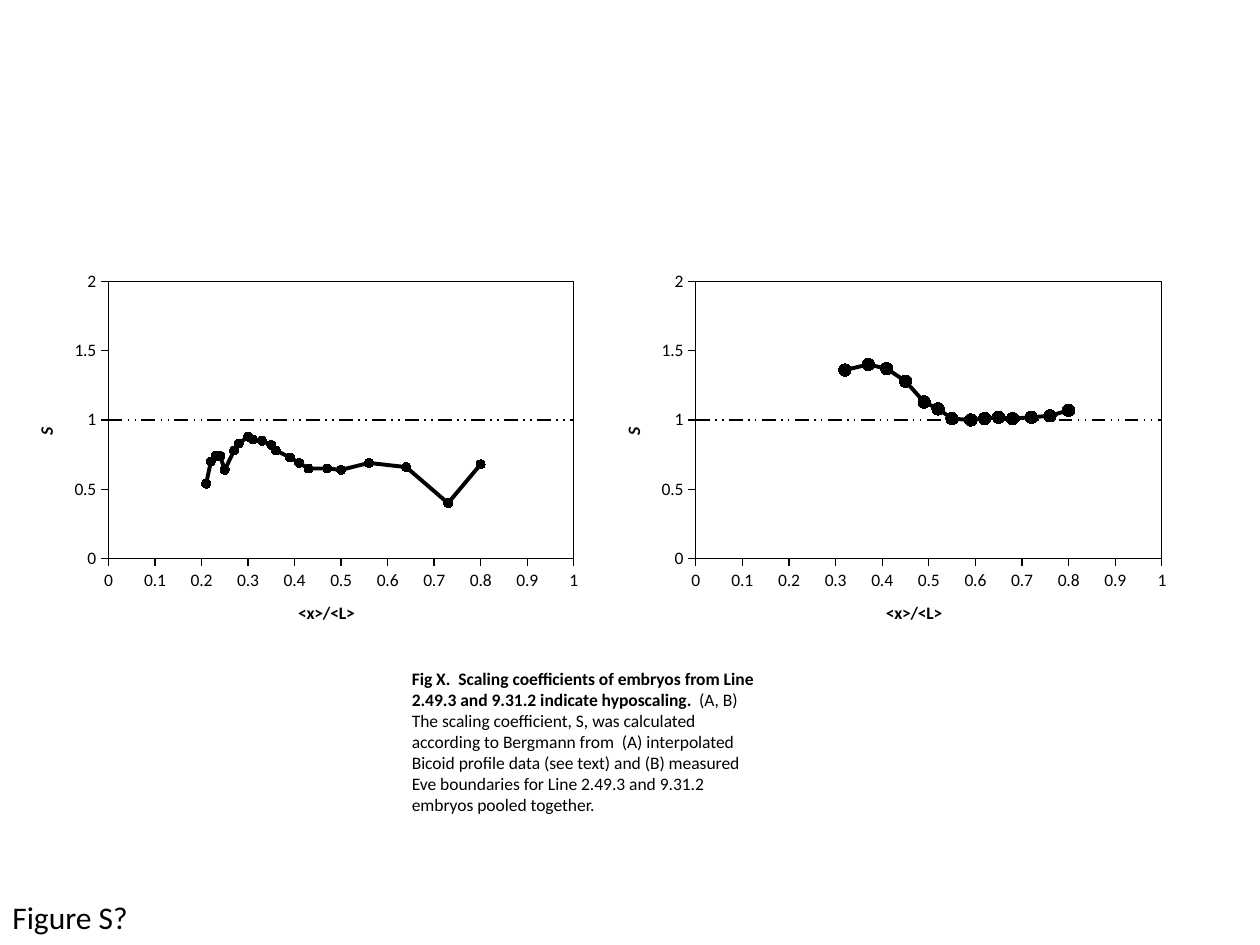
from pptx import Presentation
from pptx.chart.data import XyChartData
from pptx.dml.color import RGBColor
from pptx.enum.chart import XL_CHART_TYPE, XL_MARKER_STYLE, XL_TICK_MARK
from pptx.enum.dml import MSO_LINE
from pptx.enum.text import MSO_AUTO_SIZE
from pptx.oxml import parse_xml
from pptx.oxml.ns import nsdecls
from pptx.util import Inches, Pt

FONT = "Calibri"
BLACK = "000000"
PLOT_BOX = {"x": 0.139, "y": 0.051, "w": 0.743, "h": 0.734}

PROFILE_POINTS = [
    (0.21, 0.54), (0.22, 0.7), (0.23, 0.74), (0.24, 0.74), (0.25, 0.64), (0.27, 0.78),
    (0.28, 0.83), (0.3, 0.88), (0.31, 0.86), (0.33, 0.85), (0.35, 0.82), (0.36, 0.78),
    (0.39, 0.73), (0.41, 0.69), (0.43, 0.65), (0.47, 0.65), (0.5, 0.64), (0.56, 0.69),
    (0.64, 0.66), (0.73, 0.4), (0.8, 0.68),
]
BOUNDARY_POINTS = [
    (0.32, 1.36), (0.37, 1.4), (0.41, 1.37), (0.45, 1.28), (0.49, 1.13), (0.52, 1.08),
    (0.55, 1.01), (0.59, 1), (0.62, 1.01), (0.65, 1.02), (0.68, 1.01), (0.72, 1.02),
    (0.76, 1.03), (0.8, 1.07),
]
PERFECT_SCALING = [(0, 1), (1, 1)]

CAPTION = [
    ("Fig X.  Scaling coefficients of embryos from Line 2.49.3 and 9.31.2 "
     "indicate hyposcaling.", True),
    ("  (A, B) The scaling coefficient, S, was calculated according to Bergmann from  "
     "(A) interpolated Bicoid profile data (see text) and (B) measured Eve boundaries "
     "for Line 2.49.3 and 9.31.2 embryos pooled together.", False),
]


def set_color(color_format, color):
    color_format.rgb = RGBColor.from_string(color)


def format_font(font, size, bold=False, italic=False):
    font.name = FONT
    font.size = Pt(size)
    font.bold = bold
    font.italic = italic
    font.fill.solid()
    set_color(font.fill.fore_color, BLACK)


def format_line(line, width):
    line.fill.solid()
    set_color(line.fill.fore_color, BLACK)
    line.width = Pt(width)


def add_text(slide, box, runs, size, wrap=True):
    shape = slide.shapes.add_textbox(*map(Inches, box))
    frame = shape.text_frame
    frame.word_wrap = wrap
    frame.auto_size = MSO_AUTO_SIZE.SHAPE_TO_FIT_TEXT
    for text, bold in runs:
        run = frame.paragraphs[0].add_run()
        run.text = text
        format_font(run.font, size, bold)


def format_axis(axis, title, maximum, step, italic=False):
    axis.minimum_scale = 0
    axis.maximum_scale = maximum
    axis.major_unit = step
    axis.has_major_gridlines = False
    axis.major_tick_mark = XL_TICK_MARK.OUTSIDE
    axis.minor_tick_mark = XL_TICK_MARK.NONE
    axis.tick_labels.number_format = "General"
    axis.tick_labels.number_format_is_linked = False
    format_line(axis.format.line, 0.75)
    run = axis.axis_title.text_frame.paragraphs[0].add_run()
    run.text = title
    format_font(run.font, 10, bold=True, italic=italic)


def frame_plot_area(chart):
    """Fix the inner plot area and outline it."""
    plot_area = chart.element.xpath("c:chart/c:plotArea")[0]
    for layout in plot_area.xpath("c:layout"):
        plot_area.remove(layout)
    sizes = "".join(f'<c:{key} val="{value}"/>' for key, value in PLOT_BOX.items())
    plot_area.insert(0, parse_xml(
        f'<c:layout {nsdecls("c")}><c:manualLayout><c:layoutTarget val="inner"/>'
        f'<c:xMode val="edge"/><c:yMode val="edge"/>{sizes}</c:manualLayout></c:layout>'))
    plot_area.append(parse_xml(
        f'<c:spPr {nsdecls("c", "a")}><a:noFill/><a:ln w="{Pt(0.75)}"><a:solidFill>'
        f'<a:srgbClr val="{BLACK}"/></a:solidFill></a:ln></c:spPr>'))


def add_scaling_chart(slide, box, points, marker_size):
    data = XyChartData()
    for name, pairs in (("Series 1", points), ("Series 2", PERFECT_SCALING)):
        series = data.add_series(name)
        for x, y in pairs:
            series.add_data_point(x, y)
    chart = slide.shapes.add_chart(
        XL_CHART_TYPE.XY_SCATTER_LINES, *map(Inches, box), data).chart
    chart.has_title = False
    chart.has_legend = False
    format_font(chart.font, 10)
    chart.plots[0].vary_by_categories = False
    format_axis(chart.category_axis, "<x>/<L>", 1, 0.1)
    format_axis(chart.value_axis, "S", 2, 0.5, italic=True)

    measured, reference = chart.plots[0].series
    measured.smooth = reference.smooth = False
    format_line(measured.format.line, 2.25)
    marker = measured.marker
    marker.style = XL_MARKER_STYLE.CIRCLE
    marker.size = marker_size
    marker.format.fill.solid()
    set_color(marker.format.fill.fore_color, BLACK)
    format_line(marker.format.line, 0.75)
    format_line(reference.format.line, 1)
    reference.format.line.dash_style = MSO_LINE.DASH_DOT_DOT
    reference.marker.style = XL_MARKER_STYLE.NONE
    frame_plot_area(chart)


def main():
    presentation = Presentation()
    presentation.slide_width = Inches(10)
    presentation.slide_height = Inches(7.5)
    slide = presentation.slides.add_slide(presentation.slide_layouts[6])
    add_text(slide, (3.17, 5.25, 3, 1.28), CAPTION, 10)
    add_text(slide, (0, 7.08, 1.13, 0.4), [("Figure S?", False)], 18, wrap=False)
    add_scaling_chart(slide, (4.83, 2.08, 4.98, 3), BOUNDARY_POINTS, 7)
    add_scaling_chart(slide, (0.17, 2.08, 4.97, 3), PROFILE_POINTS, 5)
    presentation.save("out.pptx")


if __name__ == "__main__":
    main()
